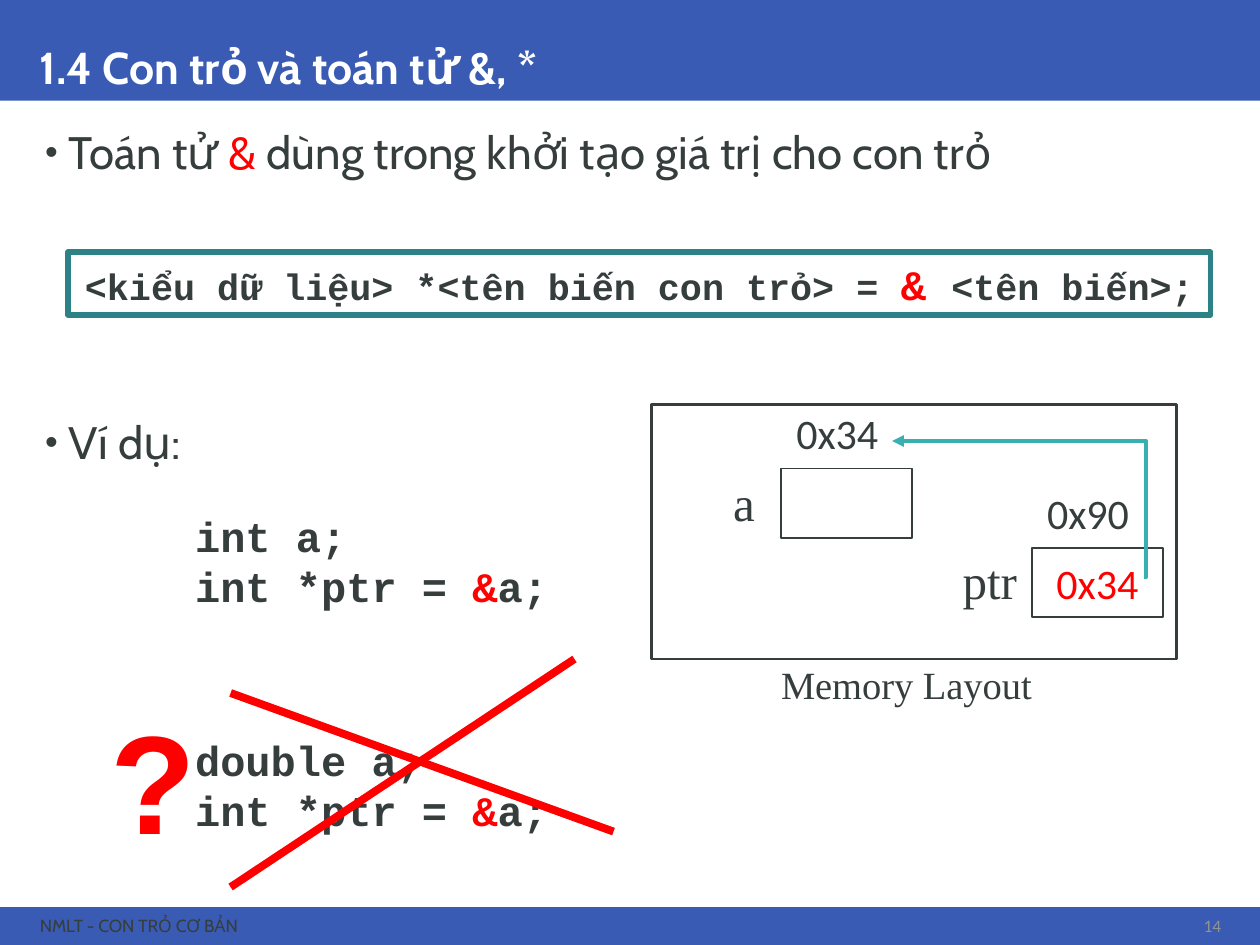
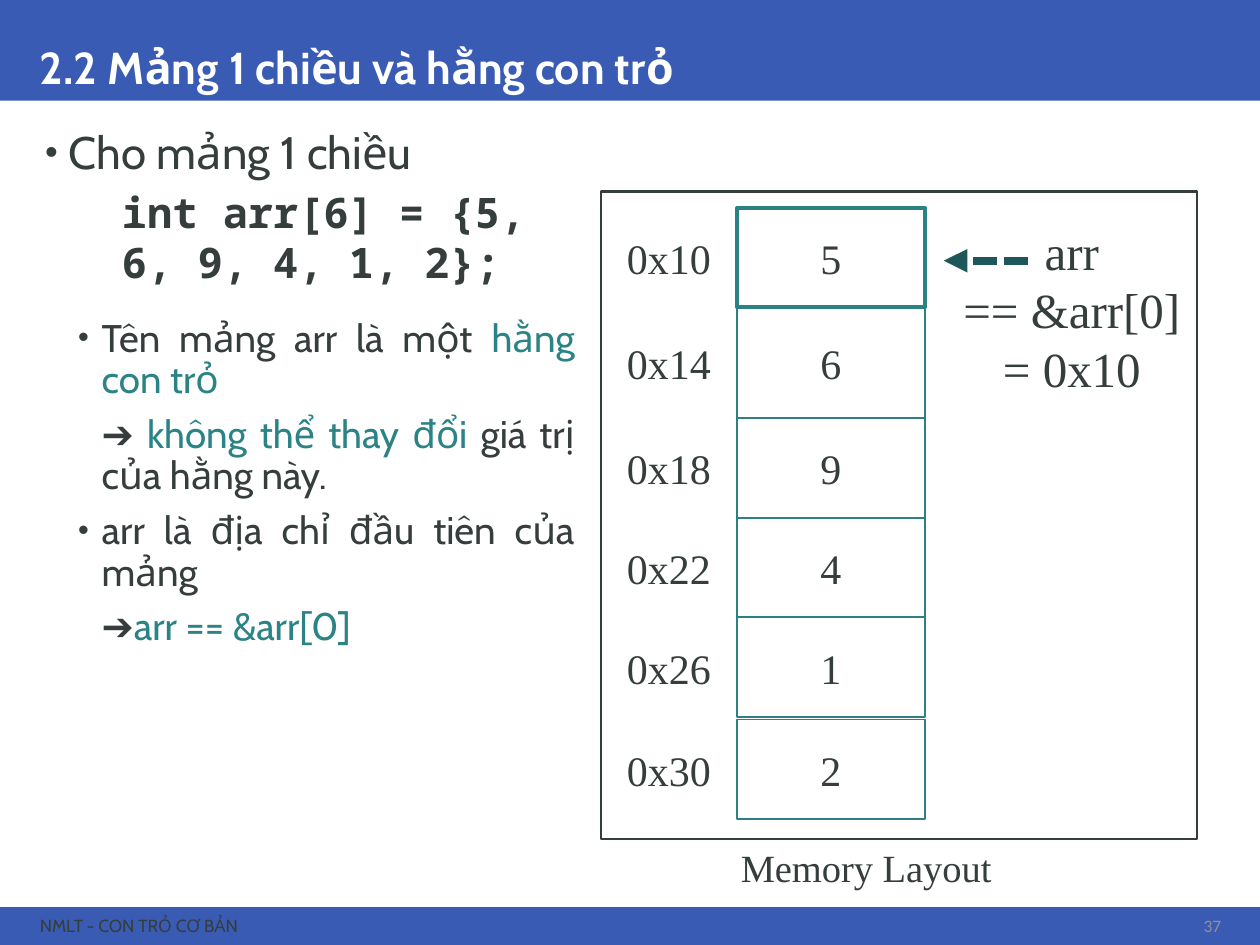
import pptx
import pptx.dml.color
import pptx.enum.dml
import pptx.enum.shapes
import pptx.enum.text
import pptx.oxml.ns
import pptx.util
from lxml import etree

Pt = pptx.util.Pt
qn = pptx.oxml.ns.qn
rgb = pptx.dml.color.RGBColor.from_string
SHAPE = pptx.enum.shapes.MSO_SHAPE
CONNECTOR = pptx.enum.shapes.MSO_CONNECTOR
ALIGN = pptx.enum.text.PP_ALIGN
ANCHOR = pptx.enum.text.MSO_ANCHOR

BLUE, INK, GREY, WHITE = "3A5BB3", "363D3D", "919292", "FFFFFF"
RED, TEAL, CELL_TEAL, AQUA, DARK_TEAL = "FF0000", "2B8386", "2B8184", "3AAFB2", "1D5759"
SANS, CODE, SERIF = "Cabin", "Courier New", "Times New Roman"


def add_box(s, box, paras=(), size=24, font=SERIF, color=INK, bold=False,
            align=ALIGN.LEFT, anchor=ANCHOR.TOP, fill=None, line=None, width=1, wrap=True):
    """Add a text box, or a rectangle if it has a fill or line.

    A paragraph is a string or a list of (text, colour) runs.
    """
    box = [Pt(v) for v in box]
    if fill or line:
        sp = s.shapes.add_shape(SHAPE.RECTANGLE, *box)
        sp.shadow.inherit = False
        if fill:
            sp.fill.solid()
            sp.fill.fore_color.rgb = rgb(fill)
        else:
            sp.fill.background()
        if line:
            sp.line.color.rgb = rgb(line)
            sp.line.width = Pt(width)
        else:
            sp.line.fill.background()
    else:
        sp = s.shapes.add_textbox(*box)
    tf = sp.text_frame
    tf.word_wrap = wrap
    tf.vertical_anchor = anchor
    for i, runs in enumerate(paras):
        p = tf.add_paragraph() if i else tf.paragraphs[0]
        p.alignment = align
        for text, run_color in [(runs, color)] if isinstance(runs, str) else runs:
            r = p.add_run()
            r.text = text
            r.font.size = Pt(size)
            r.font.name = font
            r.font.bold = bold
            r.font.color.rgb = rgb(run_color)
    return sp


def add_line(s, kind, begin, end, color, width, arrow=False):
    ln = s.shapes.add_connector(kind, *[Pt(v) for v in (*begin, *end)])
    ln.line.color.rgb = rgb(color)
    ln.line.width = Pt(width)
    if arrow:
        etree.SubElement(ln.line._get_or_add_ln(), qn("a:tailEnd"), type="triangle")
    etree.SubElement(ln._element.spPr, qn("a:effectLst"))
    return ln


prs = pptx.Presentation()
prs.slide_width, prs.slide_height = Pt(720), Pt(540)

# Each body paragraph: runs, level, has bullet, space before
pages = [
    ("1.4 Con trỏ và toán tử &, *", "14", 689, ALIGN.LEFT, [
        ([("Toán tử ", INK), ("& ", RED), ("dùng trong khởi tạo giá trị cho con trỏ", INK)],
         0, True, 13.5),
        ([("Ví dụ:", INK)], 0, True, 138),
    ]),
    ("2.2 Mảng 1 chiều và hằng con trỏ", "37", 319.7, ALIGN.JUSTIFY, [
        ([("Cho mảng 1 chiều", INK)], 0, True, 13.5),
        ([("Tên mảng arr là một ", INK), ("hằng con trỏ", TEAL)], 1, True, 80),
        ([("➔ ", INK), ("không thể thay đổi ", TEAL), ("giá trị của hằng này.", INK)],
         1, False, 7.5),
        ([("arr là địa chỉ đầu tiên của mảng", INK)], 1, True, 7.5),
        ([("➔", INK), ("arr == &arr[0]", TEAL)], 1, False, 7.5),
    ]),
]
slides = []
for title, number, body_width, align, body in pages:
    s = prs.slides.add_slide(prs.slide_layouts[6])
    slides.append(s)
    add_box(s, (0, 0, 720, 57.6), fill=BLUE)
    add_box(s, (0, 518.4, 720, 21.6), fill=BLUE)
    sp = add_box(s, (15.8, 0, 689, 57.6), [title], 25.5, SANS, WHITE, True, anchor=ANCHOR.BOTTOM)
    sp.text_frame.paragraphs[0].line_spacing = 0.9
    add_box(s, (15.8, 519.8, 594.7, 18.7), ["NMLT - CON TRỎ CƠ BẢN"], 10, SANS,
            anchor=ANCHOR.MIDDLE)
    add_box(s, (666.7, 519.8, 38.2, 18.7), [number], 10, "Calibri", GREY,
            align=ALIGN.RIGHT, anchor=ANCHOR.MIDDLE)
    sp = add_box(s, (15.8, 70.6, body_width, 435.6), [item[0] for item in body], 26, SANS,
                 align=align)
    for p, (_, level, bullet, before) in zip(sp.text_frame.paragraphs, body):
        p.level = level
        p.line_spacing = 0.9
        p.space_before = Pt(before)
        for r in p.runs:
            r.font.size = Pt((26, 22)[level])
        pPr = p._p.get_or_add_pPr()
        pPr.set("marL", str(Pt((16.5, 35.3)[level])))
        pPr.set("indent", str(Pt(-13.5 if bullet else 0)))
        if bullet:
            etree.SubElement(pPr, qn("a:buSzPct"), val="80000")
            etree.SubElement(pPr, qn("a:buFont"), typeface="Arial")
            etree.SubElement(pPr, qn("a:buChar"), char="•")

# Slide 1: the address operator
s = slides[0]
syntax = [("<kiểu dữ liệu> *<tên biến con trỏ> = ", INK), ("& ", RED), ("<tên biến>;", INK)]
sp = add_box(s, (38.9, 144, 653, 36), [syntax], 21, CODE, bold=True, align=ALIGN.CENTER,
             line=TEAL, width=3)
sp.text_frame.paragraphs[0].runs[1].font.size = Pt(24)

for top, declared in ((288, "int a;"), (416.2, "double a;")):
    add_box(s, (104.4, top, 218.9, 65.5),
            [declared, [("int *ptr = ", INK), ("&", RED), ("a;", INK)]], font=CODE, bold=True)
add_line(s, CONNECTOR.STRAIGHT, (131.8, 396), (350.6, 475.2), RED, 4.5)
add_line(s, CONNECTOR.STRAIGHT, (328.3, 376.6), (131.8, 506.9), RED, 4.5)
add_box(s, (56.2, 393.1, 64.1, 104.4), ["?"], 80, "Arial", RED, True, wrap=False)

add_box(s, (372.2, 231.1, 300.2, 145.4), fill=WHITE, line=INK, width=1.5)
for left, top, value in ((446.4, 267.8, ""), (589.7, 313.2, "0x34")):
    add_box(s, (left, top, 74.9, 39.6), [value] if value else [], font="Calibri", color=RED,
            align=ALIGN.CENTER, anchor=ANCHOR.MIDDLE, fill=WHITE, line=INK)
for left, top, label, size, font in (
        (385.9, 274.3, "a", 28, SERIF), (439.2, 234.7, "0x34", 24, "Calibri"),
        (526.3, 319, "ptr", 28, SERIF), (582.5, 280.1, "0x90", 24, "Calibri")):
    add_box(s, (left, top, 78.5, 25.2), [label], size, font,
            align=ALIGN.CENTER, anchor=ANCHOR.MIDDLE)
add_box(s, (439.2, 374.4, 246.2, 33.8), ["Memory Layout"], 22)

# The elbow is turned round so that it runs from ptr back to the address of a
ln = add_line(s, CONNECTOR.ELBOW, (509.8, 252), (653.8, 329.8), AQUA, 2.25, arrow=True)
ln._element.spPr.find(qn("a:xfrm")).set("rot", "10800000")
guides = ln._element.spPr.find(qn("a:prstGeom")).find(qn("a:avLst"))
etree.SubElement(guides, qn("a:gd"), name="adj1", fmla="val -800")

# Slide 2: an array in memory
s = slides[1]
add_box(s, (62.6, 103, 250.6, 65.5), ["int arr[6] = {5, 6, 9, 4, 1, 2};"],
        font="Noto Sans Mono", bold=True)
add_box(s, (343.4, 109.4, 340.6, 370.1), line=INK, width=1.5)
cells = [("0x10", "5", 118.8, 56.9), ("0x14", "6", 175.7, 63.3), ("0x18", "9", 239, 56.9),
         ("0x22", "4", 295.9, 56.9), ("0x26", "1", 352.8, 56.9), ("0x30", "2", 411.1, 56.9)]
for address, value, top, height in reversed(cells):
    add_box(s, (421.2, top, 107.3, height), [value], align=ALIGN.CENTER, anchor=ANCHOR.MIDDLE,
            line=CELL_TEAL, width=2.25 if address == "0x10" else 1)
    add_box(s, (306, top, 107.3, height), [address], align=ALIGN.RIGHT, anchor=ANCHOR.MIDDLE)
ln = add_line(s, CONNECTOR.STRAIGHT, (587.5, 149), (539.3, 149), DARK_TEAL, 4.5, arrow=True)
ln.line.dash_style = pptx.enum.dml.MSO_LINE.SQUARE_DOT
add_box(s, (539.3, 148.3, 153.4, 56.9), ["arr ", "== &arr[0] ", "= 0x10 "], 28,
        align=ALIGN.CENTER, anchor=ANCHOR.MIDDLE)
add_box(s, (416.2, 478.8, 164.9, 33.8), ["Memory Layout"], 22, wrap=False)

prs.save("out.pptx")
